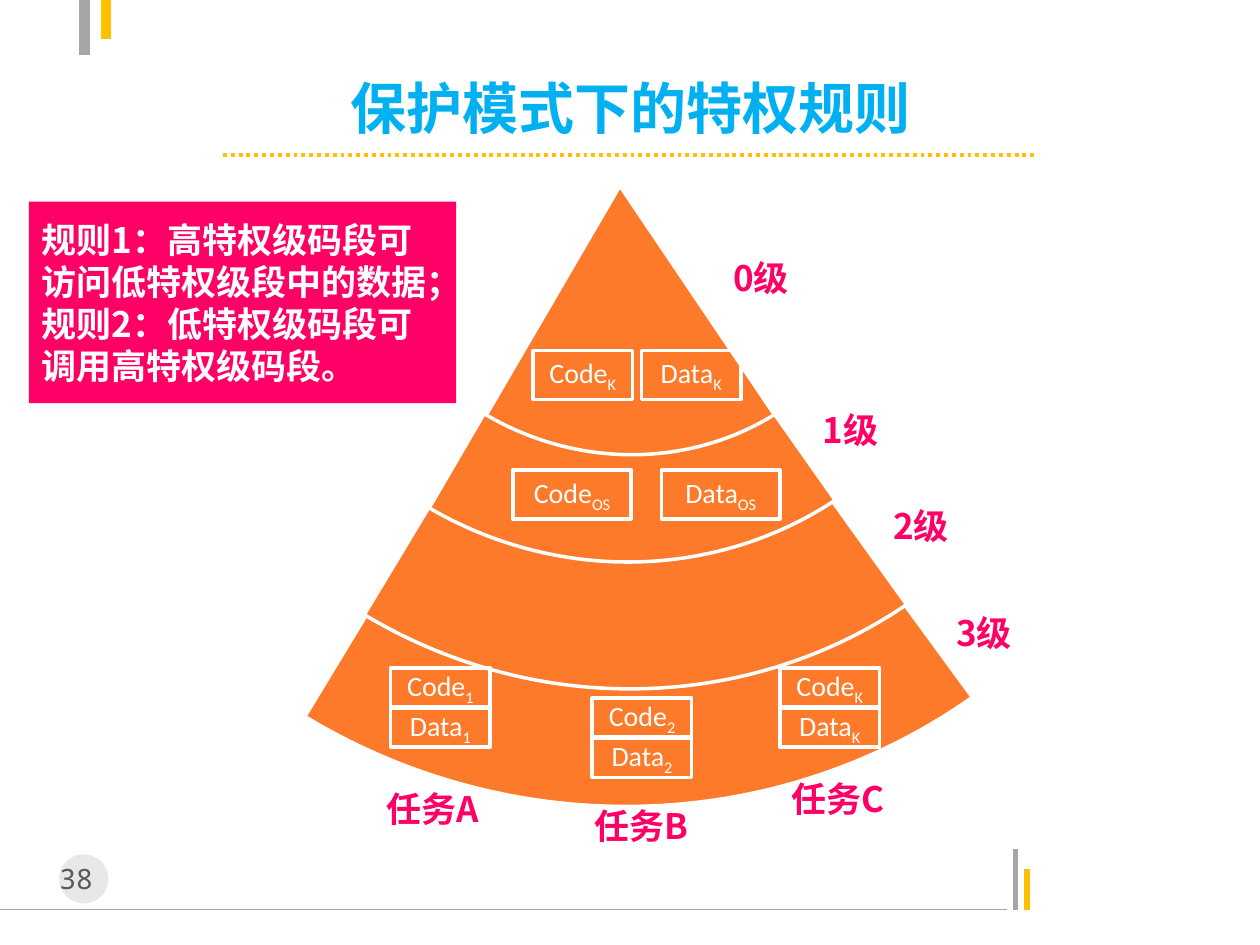
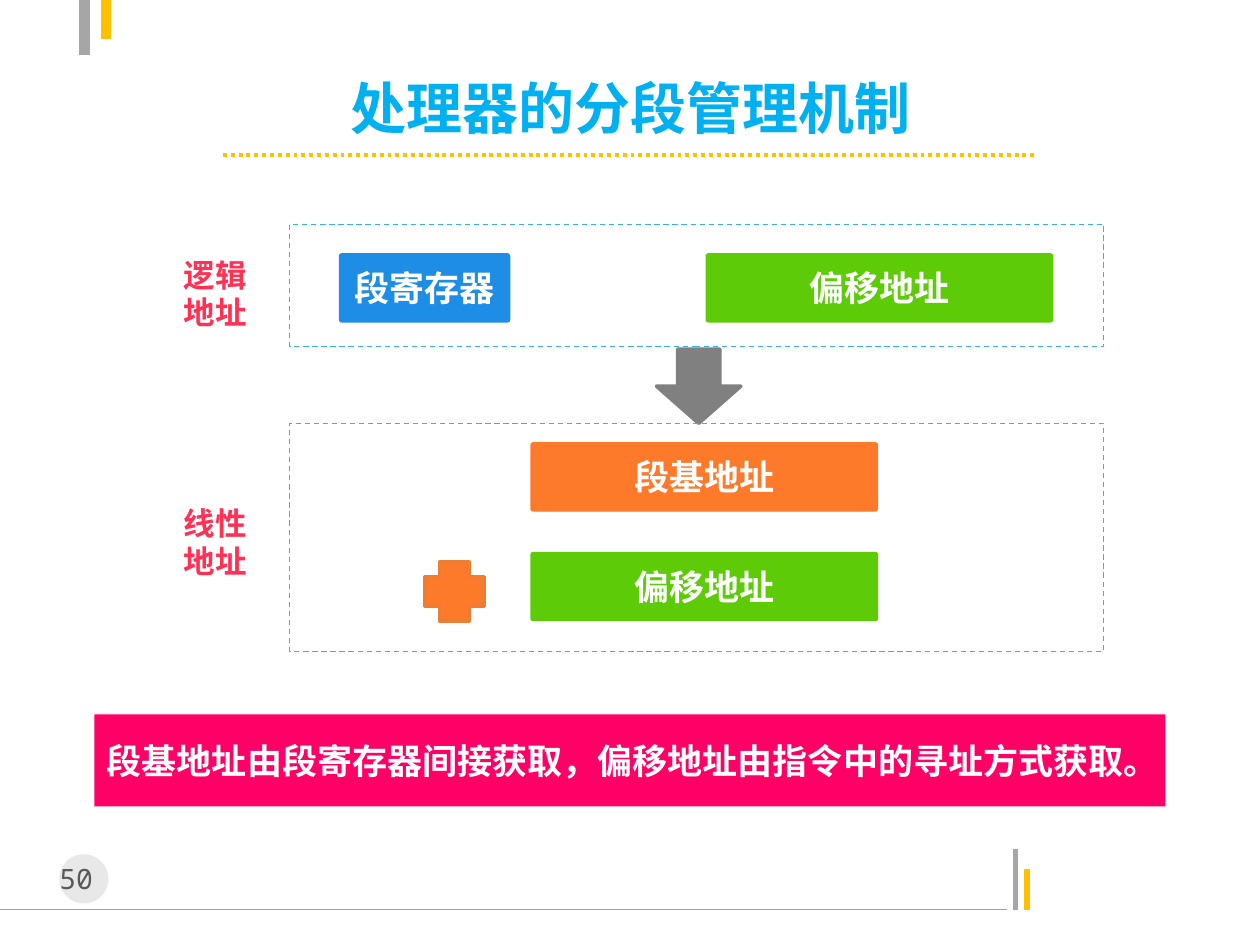
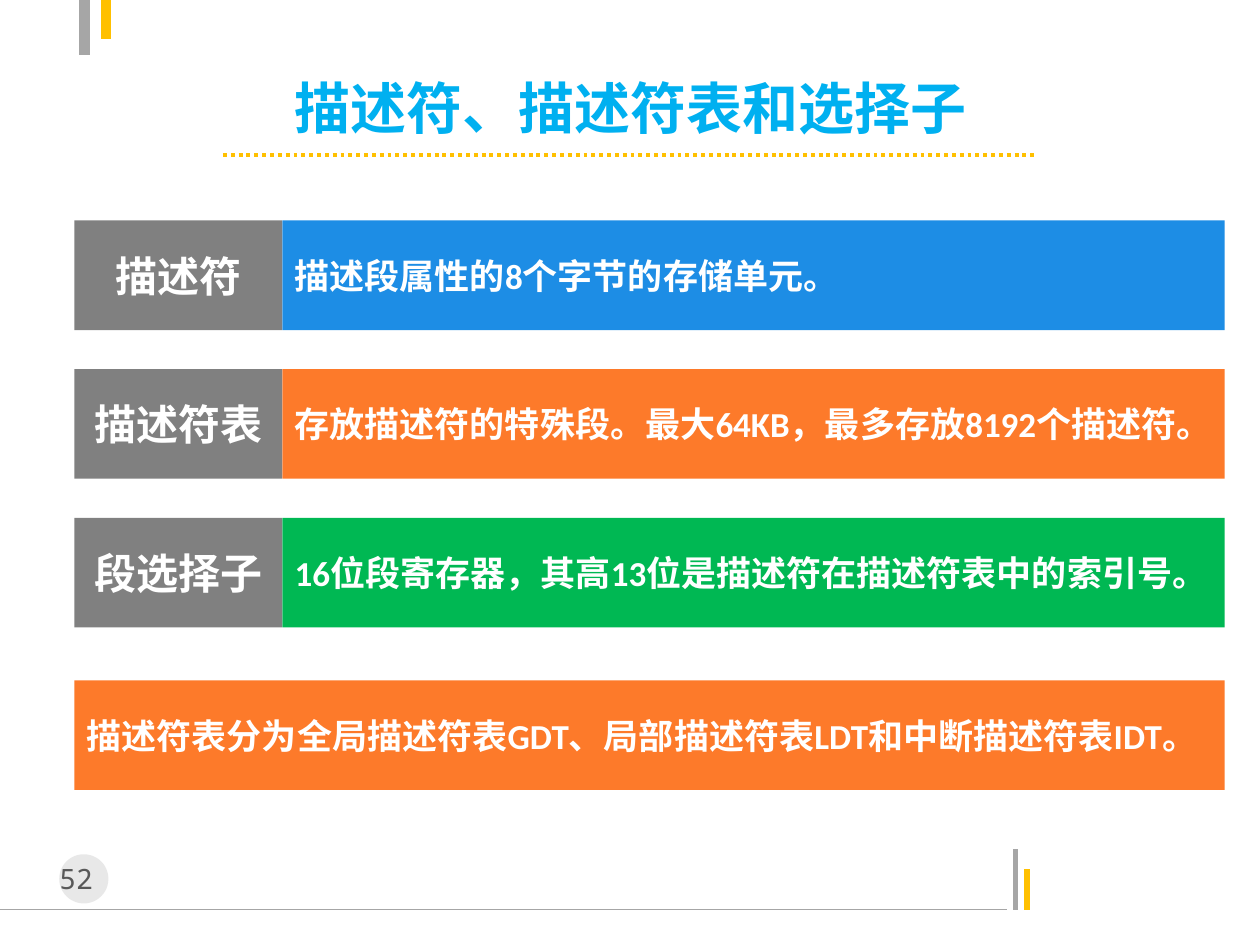
"""Build three slides on protected mode and segmented memory."""
from lxml.etree import SubElement
from pptx import Presentation
from pptx.dml.color import RGBColor
from pptx.enum.dml import MSO_LINE
from pptx.enum.shapes import MSO_CONNECTOR, MSO_SHAPE
from pptx.enum.text import MSO_ANCHOR, PP_ALIGN
from pptx.oxml.ns import qn
from pptx.util import Inches, Pt

WHITE = RGBColor(0xFF, 0xFF, 0xFF)
SILVER = RGBColor(0xBF, 0xBF, 0xBF)
ASH = RGBColor(0xA6, 0xA6, 0xA6)
GRAY = RGBColor(0x80, 0x80, 0x80)
SLATE = RGBColor(0x59, 0x59, 0x59)
GOLD = RGBColor(0xFF, 0xC0, 0x00)
SKY = RGBColor(0x00, 0xB0, 0xF0)
AQUA = RGBColor(0x36, 0xB2, 0xE6)
BLUE = RGBColor(0x1D, 0x8D, 0xE5)
ORANGE = RGBColor(0xFD, 0x7A, 0x2A)
RUST = RGBColor(0xED, 0x7D, 0x31)
LIME = RGBColor(0x5D, 0xCB, 0x08)
GREEN = RGBColor(0x00, 0xB8, 0x53)
PINK = RGBColor(0xFF, 0x00, 0x66)
RED = RGBColor(0xFF, 0x32, 0x55)
HAN = "Noto Sans CJK SC"
MONO = "Noto Sans Mono"
LATIN = "Calibri"
RECT = MSO_SHAPE.RECTANGLE
ROUND = MSO_SHAPE.ROUNDED_RECTANGLE


def box(slide, text, at, kind=None, fill=None, edge=None, width=2, dash=None,
        size=20, font=HAN, color=WHITE, bold=True, align=PP_ALIGN.LEFT,
        anchor=MSO_ANCHOR.MIDDLE, wrap=True, sub="", adj=(), turn=0):
    """Add a shape, or a text box when no kind is given, with its text."""
    place = [Inches(v) for v in at]
    if kind is None:
        shape = slide.shapes.add_textbox(*place)
    else:
        shape = slide.shapes.add_shape(kind, *place)
        shape.shadow.inherit = False
        shape.rotation = turn
        for i, value in enumerate(adj):
            shape.adjustments[i] = value
        if fill is None:
            shape.fill.background()
        else:
            shape.fill.solid()
            shape.fill.fore_color.rgb = fill
        if edge is None:
            shape.line.fill.background()
        else:
            shape.line.color.rgb = edge
            shape.line.width = Pt(width)
            shape.line.dash_style = dash
    if not text:
        return shape
    frame = shape.text_frame
    frame.word_wrap = wrap
    frame.vertical_anchor = anchor
    for i, words in enumerate(text.split("\n")):
        para = frame.add_paragraph() if i else frame.paragraphs[0]
        para.alignment = align
        for part in filter(None, (words, sub)):
            run = para.add_run()
            run.text = part
            run.font.size = Pt(size)
            run.font.bold = bold
            run.font.name = font
            run.font.color.rgb = color
            props = run._r.get_or_add_rPr()
            SubElement(props, qn("a:ea")).set("typeface", HAN)
            if part is sub:
                props.set("baseline", "-25000")
    return shape


def rule(slide, x1, y1, x2, y2, color, width, dash=None):
    """Add a straight line."""
    line = slide.shapes.add_connector(
        MSO_CONNECTOR.STRAIGHT, *[Inches(v) for v in (x1, y1, x2, y2)])
    line.line.color.rgb = color
    line.line.width = Pt(width)
    line.line.dash_style = dash
    SubElement(line._element.spPr, qn("a:effectLst"))


deck = Presentation()
deck.slide_width, deck.slide_height = Inches(10), Inches(7.5)
mid = PP_ALIGN.CENTER

pages = []
for number, title in [("38", "保护模式下的特权规则"),
                      ("50", "处理器的分段管理机制"),
                      ("52", "描述符、描述符表和选择子")]:
    page = deck.slides.add_slide(deck.slide_layouts[6])
    rule(page, 0, 7.22, 7.99, 7.22, ASH, 0.75)
    rule(page, 8.06, 7.22, 8.06, 6.74, ASH, 3)
    rule(page, 8.15, 7.22, 8.15, 6.9, GOLD, 3)
    rule(page, 0.67, 0, 0.67, 0.44, ASH, 6)
    rule(page, 0.84, 0, 0.84, 0.31, GOLD, 6)
    disc = box(page, "", (0.47, 6.78, 0.39, 0.39), MSO_SHAPE.OVAL, SILVER)
    tint = disc._element.spPr.find(".//" + qn("a:srgbClr"))
    SubElement(tint, qn("a:alpha")).set("val", "35000")
    box(page, number, (0.25, 6.79, 0.71, 0.37), size=16, font=MONO,
        color=SLATE, bold=False, align=mid, anchor=MSO_ANCHOR.TOP)
    box(page, title, (1.38, 0.6, 7.25, 0.5), size=32, color=SKY,
        align=mid, wrap=False)
    rule(page, 1.77, 1.23, 8.23, 1.23, GOLD, 2.25, MSO_LINE.ROUND_DOT)
    pages.append(page)
rings, address, terms = pages

for at, start, end in [((0.03, -3.09, 9.68, 9.46), 121.57, 162),
                       ((0.89, -2.28, 7.98, 7.71), 121.86, 161.91),
                       ((1.84, -1.44, 6.09, 5.87), 122.18, 161.43),
                       ((2.71, -0.63, 4.42, 4.21), 122.87, 161.43)]:
    box(rings, "", at, MSO_SHAPE.PIE, ORANGE, WHITE, adj=(start, end), turn=211.2)

cells = [("Code", "K", (4.23, 2.78, 0.79, 0.39)),
         ("Data", "K", (5.09, 2.78, 0.79, 0.39)),
         ("Code", "OS", (4.07, 3.73, 0.94, 0.39)),
         ("Data", "OS", (5.25, 3.73, 0.94, 0.39))]
for sub, x, y in [("1", 3.1, 5.3), ("2", 4.7, 5.54), ("K", 6.19, 5.3)]:
    cells += [("Code", sub, (x, y, 0.79, 0.31)),
              ("Data", sub, (x, y + 0.32, 0.79, 0.31))]
for word, sub, at in cells:
    box(rings, word, at, RECT, edge=WHITE, size=16, font=LATIN,
        bold=False, align=mid, sub=sub)

for label, x, y, w in [("0级", 5.72, 1.9, 0.69), ("1级", 6.43, 3.11, 0.69),
                       ("2级", 6.99, 3.87, 0.69), ("3级", 7.49, 4.72, 0.69),
                       ("任务A", 2.97, 6.12, 1), ("任务B", 4.62, 6.25, 1),
                       ("任务C", 6.18, 6.04, 1)]:
    box(rings, label, (x, y, w, 0.6), color=PINK)
box(rings, "规则1：高特权级码段可访问低特权级段中的数据；\n"
    "规则2：低特权级码段可调用高特权级码段。",
    (0.23, 1.6, 3.39, 1.6), RECT, PINK)

for label, x, y, w, fill in [("段寄存器", 2.69, 2.01, 1.36, BLUE),
                             ("偏移地址", 5.6, 2.01, 2.76, LIME),
                             ("段基地址", 4.21, 3.51, 2.76, ORANGE),
                             ("偏移地址", 4.21, 4.38, 2.76, LIME)]:
    box(address, label, (x, y, w, 0.55), ROUND, fill, align=mid, adj=(0.04,))
box(address, "", (5.25, 2.73, 0.59, 0.67), MSO_SHAPE.RIGHT_ARROW, GRAY, GRAY, turn=90)
box(address, "", (3.37, 4.46, 0.47, 0.47), MSO_SHAPE.CROSS, ORANGE, RUST)
for label, y, top, tall in [("逻辑\n地址", 1.98, 1.78, 0.97),
                            ("线性\n地址", 3.95, 3.36, 1.81)]:
    box(address, "", (2.3, top, 6.46, tall), RECT, edge=AQUA, width=0.75,
        dash=MSO_LINE.DASH)
    box(address, label, (1.36, y, 0.71, 0.71), size=18, color=RED,
        anchor=MSO_ANCHOR.TOP, wrap=False)
box(address, "段基地址由段寄存器间接获取，偏移地址由指令中的寻址方式获取。",
    (0.75, 5.67, 8.5, 0.73), RECT, PINK)

for i, (term, note, fill) in enumerate([
        ("描述符", "描述段属性的8个字节的存储单元。", BLUE),
        ("描述符表", "存放描述符的特殊段。最大64KB，最多存放8192个描述符。", ORANGE),
        ("段选择子", "16位段寄存器，其高13位是描述符在描述符表中的索引号。", GREEN)]):
    y = 1.75 + 1.18 * i
    box(terms, note, (2.24, y, 7.48, 0.87), RECT, fill, font=LATIN)
    box(terms, term, (0.59, y, 1.65, 0.87), RECT, GRAY, size=24, font=LATIN, align=mid)
box(terms, "描述符表分为全局描述符表GDT、局部描述符表LDT和中断描述符表IDT。",
    (0.59, 5.4, 9.13, 0.87), RECT, ORANGE, font=LATIN)

deck.save("out.pptx")
